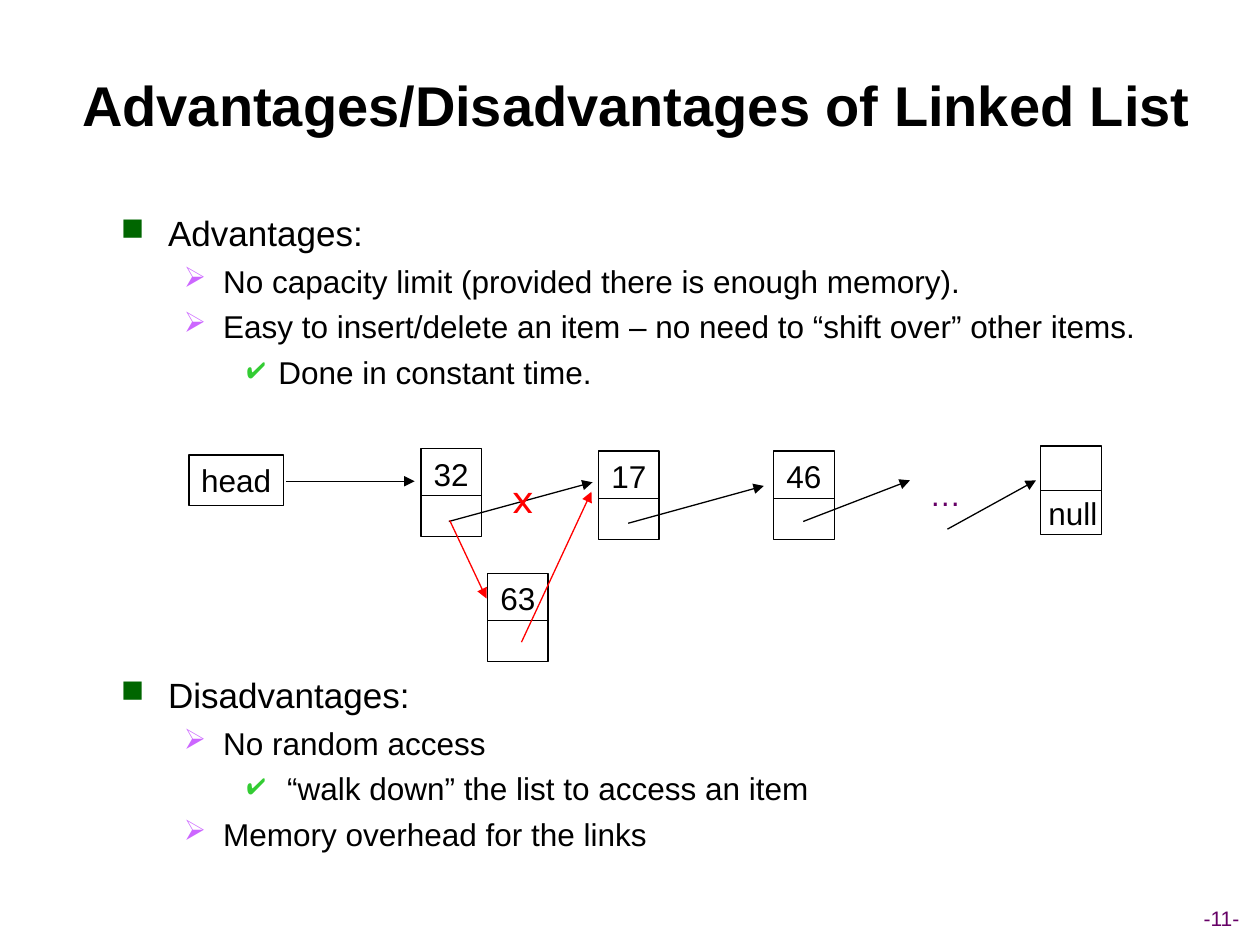
from pptx import Presentation
from pptx.dml.color import RGBColor
from pptx.enum.shapes import MSO_CONNECTOR as Connector, MSO_SHAPE as Shape
from pptx.enum.text import MSO_ANCHOR as Anchor, MSO_AUTO_SIZE as AutoSize, PP_ALIGN as Align
from pptx.oxml.ns import qn
from pptx.util import Pt
from lxml.etree import SubElement

BLACK = RGBColor(0x00, 0x00, 0x00)
RED = RGBColor(0xFF, 0x00, 0x00)
PURPLE = RGBColor(0x66, 0x00, 0x66)
DARK_GREEN = RGBColor(0x00, 0x66, 0x00)
VIOLET = RGBColor(0xCC, 0x66, 0xFF)
GREEN = RGBColor(0x33, 0xCC, 0x33)

NODE_WIDTH, NODE_HEIGHT = 34.6, 50.4
LEVELS = [
    {"bullet": "■", "color": DARK_GREEN, "size": 20, "margin": 27, "hang": 27, "before": 5},
    {"bullet": "➢", "color": VIOLET, "size": 18, "margin": 58.5, "hang": 22.5, "before": 4.5},
    {"bullet": "✔", "color": GREEN, "size": 18, "margin": 90, "hang": 18, "before": 4.5},
]
ADVANTAGES = [
    (0, "Advantages:"),
    (1, "No capacity limit (provided there is enough memory)."),
    (1, "Easy to insert/delete an item – no need to “shift over” other items."),
    (2, "Done in constant time."),
]
DISADVANTAGES = [
    (0, "Disadvantages:"),
    (1, "No random access"),
    (2, " “walk down” the list to access an item"),
    (1, "Memory overhead for the links"),
]
NODES = [
    ("32", 240.5, 256.3, 26.9),
    ("17", 342, 257.8, 26.9),
    ("46", 442.1, 257.8, 26.9),
    ("", 594.7, 254.9, 25.2),
    ("63", 278.6, 327.6, 26.9),
]
ARROWS = [
    (163.4, 275, 236.9, 275, BLACK),
    (256.5, 298, 338.6, 275.6, BLACK),
    (359, 299, 436.5, 277.7, BLACK),
    (459, 298, 520, 274.5, BLACK),
    (541.4, 302.4, 592, 274.5, BLACK),
    (257, 297.4, 278, 342, RED),
    (298, 367, 338, 281, RED),
]


def write(paragraph, text, size=18, color=BLACK, font="Arial", bold=False, align=Align.CENTER):
    paragraph.alignment = align
    run = paragraph.add_run()
    run.text = text
    run.font.name = font
    run.font.size = Pt(size)
    run.font.bold = bold
    run.font.color.rgb = color


def add_label(slide, text, left, top, width, height, anchor=Anchor.TOP, **style):
    box = slide.shapes.add_textbox(Pt(left), Pt(top), Pt(width), Pt(height))
    frame = box.text_frame
    frame.word_wrap = False
    frame.vertical_anchor = anchor
    write(frame.paragraphs[0], text, **style)


def add_box(slide, text, left, top, width, height):
    box = slide.shapes.add_shape(Shape.RECTANGLE, Pt(left), Pt(top), Pt(width), Pt(height))
    box.shadow.inherit = False
    box.fill.background()
    box.line.color.rgb = BLACK
    box.line.width = Pt(0.75)
    box.text_frame.word_wrap = False
    box.text_frame.vertical_anchor = Anchor.TOP
    if text:
        write(box.text_frame.paragraphs[0], text)


def add_line(slide, x1, y1, x2, y2, color=BLACK, arrow=False):
    line = slide.shapes.add_connector(Connector.STRAIGHT, Pt(x1), Pt(y1), Pt(x2), Pt(y2))
    line.line.color.rgb = color
    line.line.width = Pt(0.75)
    if arrow:
        SubElement(line.line._get_or_add_ln(), qn("a:tailEnd"), type="triangle")
    SubElement(line._element.spPr, qn("a:effectLst"))


def add_node(slide, text, left, top, split):
    add_box(slide, text, left, top, NODE_WIDTH, NODE_HEIGHT)
    add_line(slide, left, top + split, left + NODE_WIDTH, top + split)


def add_bullet(paragraph, level):
    properties = paragraph._p.get_or_add_pPr()
    properties.set("marL", str(Pt(level["margin"])))
    properties.set("indent", str(-Pt(level["hang"])))
    color = SubElement(properties, qn("a:buClr"))
    SubElement(color, qn("a:srgbClr"), val=str(level["color"]))
    SubElement(properties, qn("a:buSzPct"), val="90000")
    SubElement(properties, qn("a:buChar"), char=level["bullet"])


def add_outline(slide, items, top, height):
    box = slide.shapes.add_textbox(Pt(62), Pt(top), Pt(603.5), Pt(height))
    frame = box.text_frame
    frame.word_wrap = True
    for index, (depth, text) in enumerate(items):
        level = LEVELS[depth]
        paragraph = frame.add_paragraph() if index else frame.paragraphs[0]
        paragraph.level = depth
        add_bullet(paragraph, level)
        if index:
            paragraph.space_before = Pt(level["before"])
        write(paragraph, text, size=level["size"], align=Align.LEFT)


def add_title(slide, text):
    title = slide.shapes.title
    title.left, title.top, title.width, title.height = Pt(30.2), Pt(25.2), Pt(667.4), Pt(68.4)
    frame = title.text_frame
    frame.auto_size = AutoSize.NONE
    frame.vertical_anchor = Anchor.MIDDLE
    write(frame.paragraphs[0], text, size=32, bold=True)


def main():
    presentation = Presentation()
    presentation.slide_width, presentation.slide_height = Pt(720), Pt(540)
    slide = presentation.slides.add_slide(presentation.slide_layouts[5])

    add_title(slide, "Advantages/Disadvantages of Linked List")
    add_outline(slide, ADVANTAGES, 117.4, 110)
    add_outline(slide, DISADVANTAGES, 381.4, 110)

    add_box(slide, "head", 108, 260, 54, 29)
    for node in NODES:
        add_node(slide, *node)
    for *ends, color in ARROWS:
        add_line(slide, *ends, color=color, arrow=True)

    add_label(slide, "…", 524, 268, 32.4, 29, color=PURPLE)
    add_label(slide, "x", 285.8, 265.7, 26.6, 36, size=24, color=RED, font="Karla")
    add_label(slide, "null", 591.8, 278.6, 42.5, 29)
    add_label(slide, "-11-", 677, 514, 42, 21.6, anchor=Anchor.MIDDLE, size=12, color=PURPLE)

    presentation.save("out.pptx")


if __name__ == "__main__":
    main()
